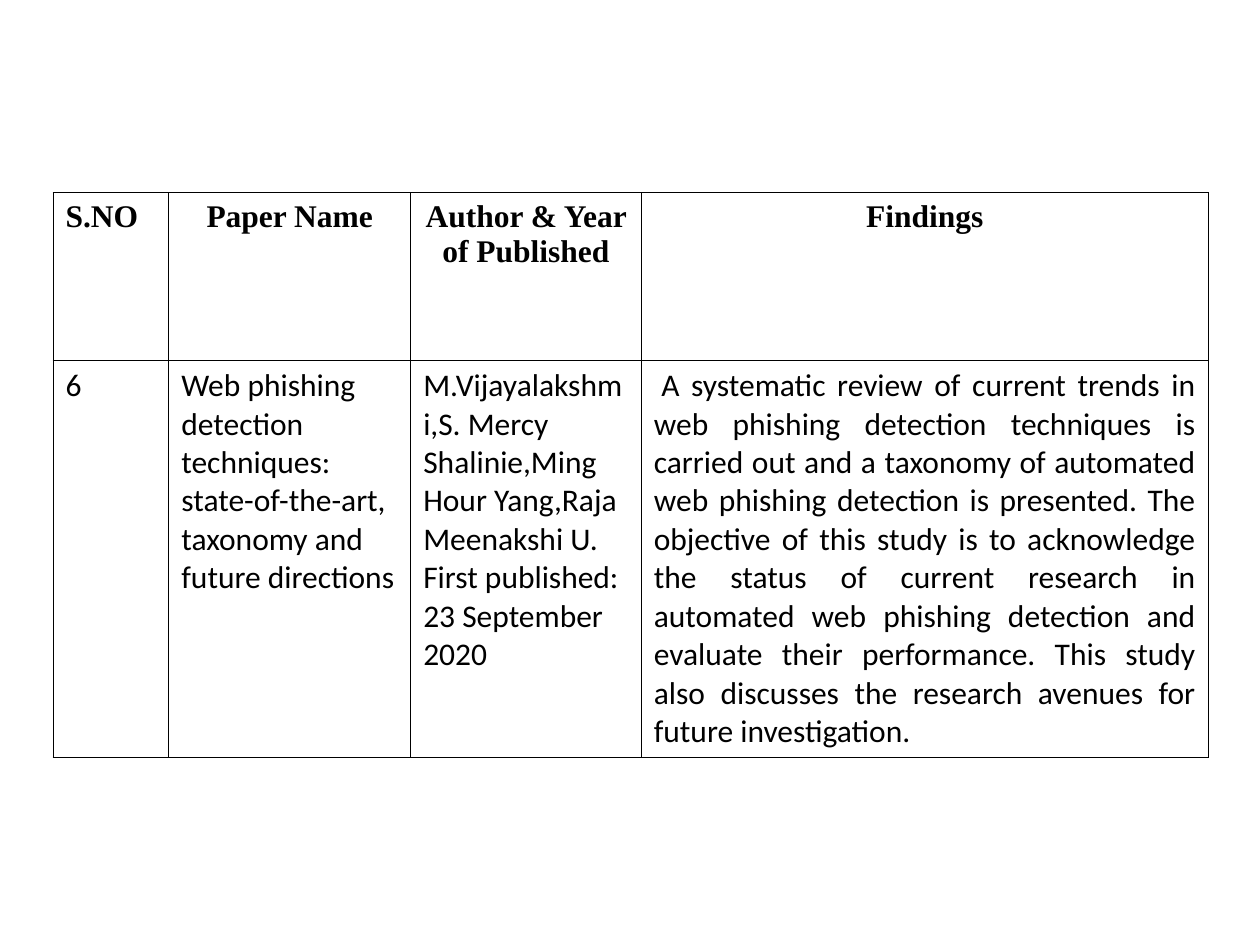
import pptx
import pptx.util
import pptx.dml.color
import pptx.enum.text
import pptx.oxml
import pptx.oxml.ns
from pptx.util import Inches

BLACK = pptx.dml.color.RGBColor(0, 0, 0)
ALIGN = pptx.enum.text.PP_ALIGN
WIDTHS = [0.92, 1.92, 1.83, 4.5]
HEIGHTS = [1.33, 3.14]
HEADS = ["S.NO", "Paper Name", "Author & Year of Published", "Findings"]
ENTRY = [
    "6",
    "Web phishing detection techniques: state-of-the-art, taxonomy and future directions",
    "M.Vijayalakshmi,S. Mercy Shalinie,Ming Hour Yang,Raja Meenakshi U.\n"
    "First published: 23 September 2020",
    "A systematic review of current trends in web phishing detection techniques "
    "is carried out and a taxonomy of automated web phishing detection is presented. "
    "The objective of this study is to acknowledge the status of current research in "
    "automated web phishing detection and evaluate their performance. This study also "
    "discusses the research avenues for future investigation.",
]


def add_edges(cell):
    props = cell._tc.get_or_add_tcPr()
    for place, side in enumerate(("lnL", "lnR", "lnT", "lnB")):
        edge = pptx.oxml.parse_xml(
            f'<a:{side} {pptx.oxml.ns.nsdecls("a")} w="{pptx.util.Pt(0.5)}">'
            f'<a:solidFill><a:srgbClr val="{BLACK}"/></a:solidFill></a:{side}>'
        )
        props.insert(place, edge)


def fill_cell(cell, text, font, bold, align):
    cell.fill.background()
    add_edges(cell)
    cell.text_frame.text = text
    for para in cell.text_frame.paragraphs:
        para.alignment = align
        for run in para.runs:
            run.font.name = font
            run.font.size = pptx.util.Pt(18)
            run.font.bold = bold
            run.font.color.rgb = BLACK


def add_grid(slide):
    frame = slide.shapes.add_table(
        len(HEIGHTS), len(WIDTHS), Inches(0.42), Inches(1.53),
        Inches(sum(WIDTHS)), Inches(sum(HEIGHTS)),
    )
    table = frame.table
    for column, width in zip(table.columns, WIDTHS):
        column.width = Inches(width)
    for row, height in zip(table.rows, HEIGHTS):
        row.height = Inches(height)
    return table


def main():
    deck = pptx.Presentation()
    deck.slide_width, deck.slide_height = Inches(10), Inches(7.5)
    slide = deck.slides.add_slide(deck.slide_layouts[6])
    table = add_grid(slide)
    last = len(WIDTHS) - 1
    for col, (head, entry) in enumerate(zip(HEADS, ENTRY)):
        fill_cell(table.cell(0, col), head, "Times New Roman", True,
                  ALIGN.CENTER if col else ALIGN.LEFT)
        fill_cell(table.cell(1, col), entry, "Calibri", False,
                  ALIGN.JUSTIFY if col == last else ALIGN.LEFT)
    finding = table.cell(1, last).text_frame.paragraphs[0]
    finding._p.get_or_add_pPr().set("indent", str(Inches(0.06)))
    deck.save("out.pptx")


if __name__ == "__main__":
    main()
